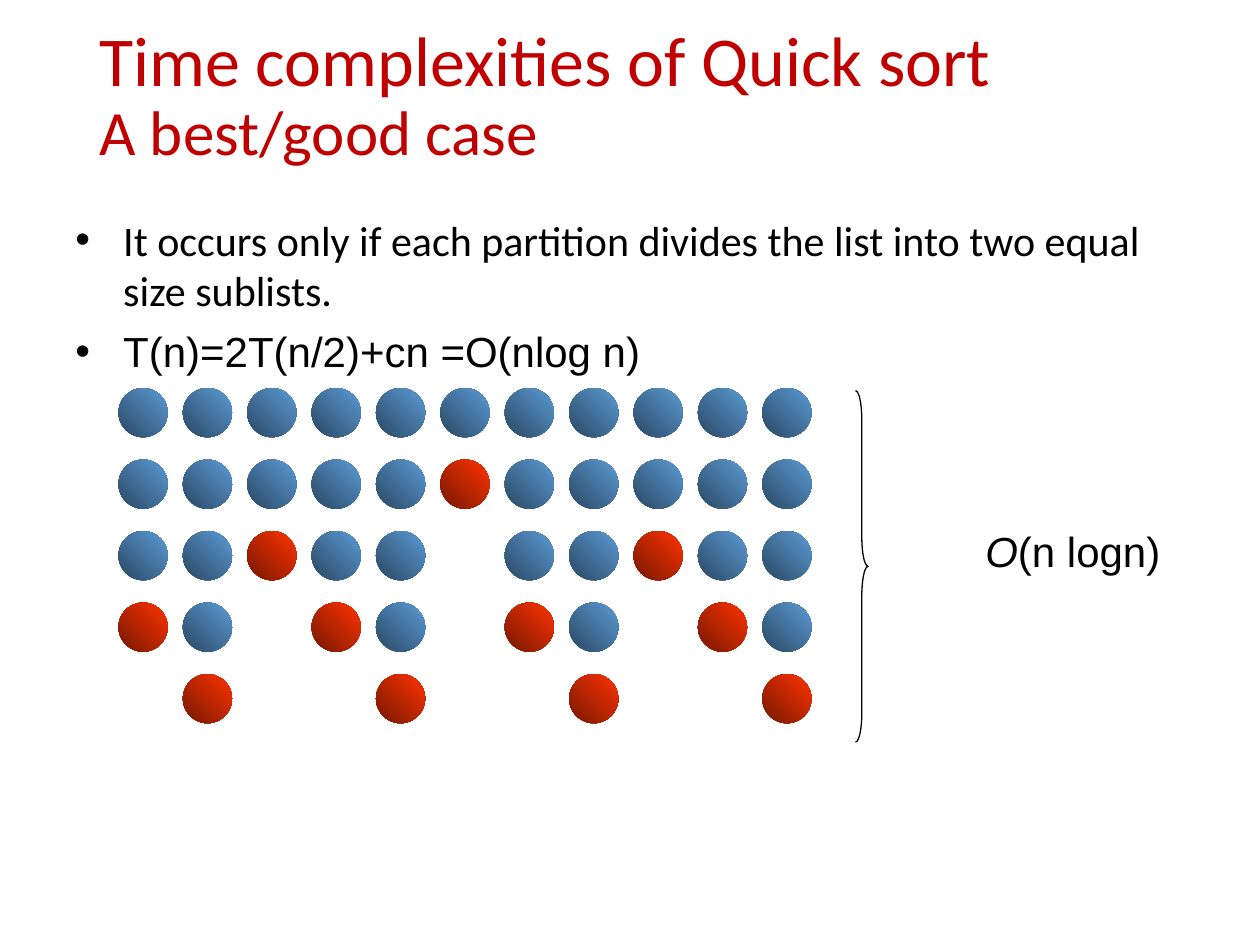
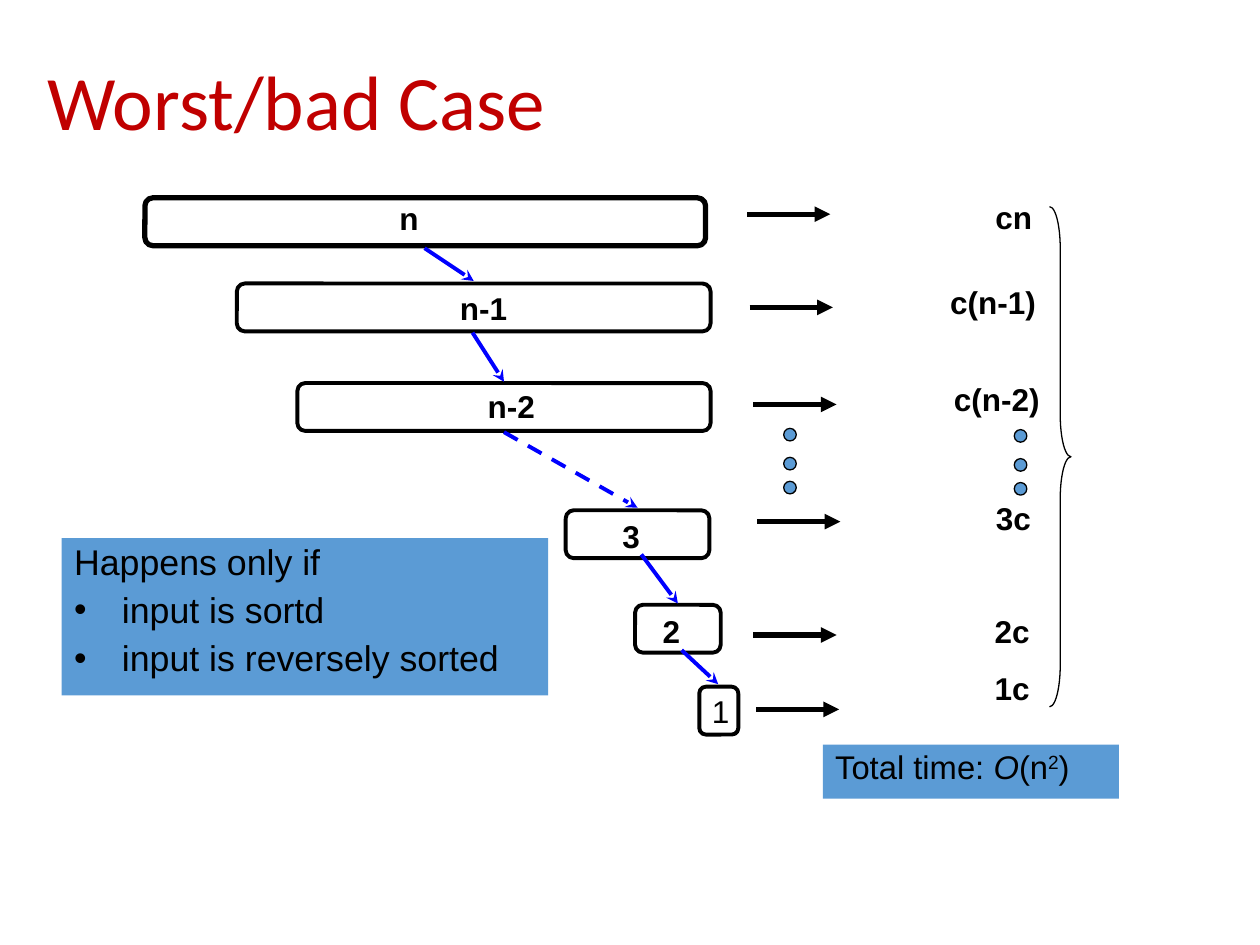
from lxml import etree
from pptx import Presentation
from pptx.dml.color import RGBColor
from pptx.enum.dml import MSO_LINE
from pptx.enum.shapes import MSO_CONNECTOR, MSO_SHAPE
from pptx.enum.text import MSO_ANCHOR, PP_ALIGN
from pptx.oxml.ns import qn
from pptx.util import Inches, Pt

OVAL, RECT = MSO_SHAPE.OVAL, MSO_SHAPE.RECTANGLE
ROUND, BRACE = MSO_SHAPE.ROUNDED_RECTANGLE, MSO_SHAPE.RIGHT_BRACE
TOP, MIDDLE, BOTTOM = MSO_ANCHOR.TOP, MSO_ANCHOR.MIDDLE, MSO_ANCHOR.BOTTOM
LEFT, CENTER, RIGHT = PP_ALIGN.LEFT, PP_ALIGN.CENTER, PP_ALIGN.RIGHT

# Shared style
BLACK, WHITE, BLUE, ARROW = "000000", "FFFFFF", "5B9BD5", "0000FF"
THIN, MEDIUM, THICK = 0.74, 2.24, 3
INSETS, NONE = (0.1, 0.05, 0.1, 0.05), (0, 0, 0, 0)
TITLE = dict(name="Calibri", size=44, color="C00000")
BODY = dict(name="Calibri", size=24, color=BLACK)
LABEL = dict(name="Arial", size=18, color=BLACK, bold=True)
PLAIN = dict(LABEL, bold=False)
NOTE = dict(spacing=0.9, before=5.5, hang=0.38)

# Slide 1 content: b = element, r = pivot, dot = gone
PARTITIONS = [
    "bbbbbbbbbbb",
    "bbbbbrbbbbb",
    "bbrbb.bbrbb",
    "rb.rb.rb.rb",
    ".r..r..r..r",
]
BALLS = {"b": ("2A4863", BLUE), "r": ("761800", "FF3300")}
BALL_LEFT, BALL_TOP, BALL_SIZE = 0.94, 3.08, 0.39
COL_STEP, ROW_STEP = 0.511, 0.5675

# Slide 2 content: bar left, top, width, line; label, its left, top, width
BARS = [
    (1.15, 1.57, 4.45, THICK, "n", 3.17, 1.58, 0.35),
    (1.88, 2.25, 3.76, MEDIUM, "n-1", 3.65, 2.29, 0.56),
    (2.36, 3.04, 3.28, MEDIUM, "n-2", 3.87, 3.07, 0.56),
    (4.49, 4.05, 1.14, MEDIUM, "3", 4.94, 4.1, 0.29),
    (5.04, 4.8, 0.68, MEDIUM, "2", 5.26, 4.86, 0.29),
]
LAST_BAR = (5.55, 5.45, 0.31)
BAR_HEIGHT = 0.38
# Calls: from, to, dashed
CALLS = [
    ((3.37, 1.97), (3.76, 2.23), False),
    ((3.75, 2.64), (4, 3.03), False),
    ((4, 3.43), (5.06, 4.03), True),
    ((5.09, 4.4), (5.38, 4.79), False),
    ((5.41, 5.16), (5.7, 5.43), False),
]
# Costs: arrow left, arrow y, text, text left, top, width
COSTS = [
    (5.93, 1.7, "cn", 6.81, 1.52, 1.48),
    (5.95, 2.44, "c(n-1)", 7.44, 2.2, 0.88),
    (5.98, 3.21, "c(n-2)", 7.47, 2.97, 0.88),
    (6.01, 4.14, "3c", 7.8, 3.91, 0.48),
    (5.98, 5.04, "2c", 7.79, 4.81, 0.48),
    (6, 5.63, "1c", 7.79, 5.26, 0.48),
]
COST_ARROW = 0.66
DOT_COLUMNS = [(6.22, 3.4), (8.05, 3.41)]
DOT_OFFSETS, DOT_SIZE = (0, 0.23, 0.42), 0.1


def rgb(value):
    return RGBColor.from_string(value)


def add_shape(parent, kind, at, fill=None, line=None, width=THIN):
    sp = parent.shapes.add_shape(kind, *map(Inches, at))
    sp.shadow.inherit = False
    if fill:
        sp.fill.solid()
        sp.fill.fore_color.rgb = rgb(fill)
    else:
        sp.fill.background()
    if line:
        sp.line.color.rgb = rgb(line)
        sp.line.width = Pt(width)
    else:
        sp.line.fill.background()
    return sp


def add_run(p, text, fmt):
    """Add a run; a newline in the text becomes a line break."""
    for i, part in enumerate(text.split("\n")):
        if i:
            p.add_line_break()
        if not part:
            continue
        r = p.add_run()
        r.text = part
        for key, value in fmt.items():
            if key == "color":
                r.font.color.rgb = rgb(value)
            elif key == "baseline":
                r._r.get_or_add_rPr().set("baseline", str(value * 1000))
            else:
                setattr(r.font, key, Pt(value) if key == "size" else value)


def write(sp, paras, fmt, anchor=TOP, insets=INSETS, align=LEFT, wrap=True,
          spacing=None, before=None, hang=0):
    """Each paragraph is (bulleted, [(text, extra format), ...])."""
    tf = sp.text_frame
    tf.word_wrap, tf.vertical_anchor = wrap, anchor
    for side, value in zip(("left", "top", "right", "bottom"), insets):
        setattr(tf, "margin_" + side, Inches(value))
    for i, (bulleted, runs) in enumerate(paras):
        p = tf.add_paragraph() if i else tf.paragraphs[0]
        p.alignment = align
        if spacing:
            p.line_spacing = spacing
        if before:
            p.space_before = Pt(before)
        pPr = p._p.get_or_add_pPr()
        if hang:
            pPr.set("marL", str(Inches(hang)))
            pPr.set("indent", str(-Inches(hang)))
        if bulleted:
            etree.SubElement(pPr, qn("a:buFont")).set("typeface", "Arial")
            etree.SubElement(pPr, qn("a:buChar")).set("char", "•")
        for text, extra in runs:
            add_run(p, text, {**fmt, **extra})


def add_text(s, at, paras, fmt, **layout):
    write(s.shapes.add_textbox(*map(Inches, at)), paras, fmt, **layout)


def line_of(text):
    return [(False, [(text, {})])]


def add_title(s, at, runs, anchor):
    add_text(s, at, [(False, runs)], TITLE, anchor=anchor, spacing=0.9)


def add_brace(s, at):
    sp = add_shape(s, BRACE, at, line=BLACK)
    sp.adjustments[0] = at[3] / 12 / at[2]
    sp.adjustments[1] = 0.5


def add_bar(s, left, top, width, weight):
    at = (left, top, width, BAR_HEIGHT)
    add_shape(s, ROUND, at, line=BLACK, width=weight)


def add_arrow(s, start, end, color, width, tip, dashed=False):
    c = s.shapes.add_connector(MSO_CONNECTOR.STRAIGHT,
                               *map(Inches, (*start, *end)))
    c.line.color.rgb = rgb(color)
    c.line.width = Pt(width)
    if dashed:
        c.line.dash_style = MSO_LINE.DASH
    etree.SubElement(c.line._get_or_add_ln(), qn("a:tailEnd")).set("type", tip)
    etree.SubElement(c._element.spPr, qn("a:effectLst"))


prs = Presentation()
prs.slide_width, prs.slide_height = Inches(10), Inches(7.5)
blank = prs.slide_layouts[6]

# Slide 1: best case
s = prs.slides.add_slide(blank)
add_title(s, (0.69, 0.4, 8.63, 0.75),
          [("Time complexities of Quick sort\n", {"size": 40}),
           ("A best/good case", {"size": 36})], MIDDLE)
add_text(s, (0.5, 1.65, 9, 4.95), [
    (True, [("It occurs only if each partition divides the list into "
             "two equal size sublists.", {})]),
    (True, [("T(n)=2T(n/2)+cn =O(nlog n)", {"name": "Arial"})]),
], BODY, before=6, hang=0.38)

# Partition levels
group = s.shapes.add_group_shape()
for row, level in enumerate(PARTITIONS):
    for col, mark in enumerate(level):
        if mark not in BALLS:
            continue
        ball = add_shape(group, OVAL, (BALL_LEFT + col * COL_STEP,
                                       BALL_TOP + row * ROW_STEP,
                                       BALL_SIZE, BALL_SIZE))
        ball.fill.gradient()
        ball.fill.gradient_angle = 45
        for stop, color in zip(ball.fill.gradient_stops, BALLS[mark]):
            stop.color.rgb = rgb(color)

add_brace(s, (6.79, 3.1, 0.1, 2.79))
total = add_shape(s, RECT, (7.58, 4.06, 1.87, 0.63), WHITE, WHITE)
write(total, [(False, [("O", {"italic": True}), ("(n logn)", {})])],
      dict(PLAIN, size=24), anchor=MIDDLE, align=CENTER, wrap=False)

# Slide 2: worst case
s = prs.slides.add_slide(blank)
add_title(s, (0.28, 0.3, 8.28, 0.92), [("Worst/bad Case", {})], BOTTOM)

# Shrinking lists and the calls between them
for left, top, width, weight, label, x, y, w in BARS:
    add_bar(s, left, top, width, weight)
    add_text(s, (x, y, w, 0.3), line_of(label), LABEL, insets=NONE)
add_bar(s, *LAST_BAR, MEDIUM)
one = add_shape(s, RECT, (5.6, 5.51, 0.24, 0.26), WHITE, WHITE)
write(one, line_of("1"), PLAIN, anchor=MIDDLE, insets=NONE, align=CENTER,
      wrap=False)
for start, end, dashed in CALLS:
    add_arrow(s, start, end, ARROW, MEDIUM, "stealth", dashed)

# Cost of each level
for left, y, cost, x, top, width in COSTS:
    add_arrow(s, (left, y), (left + COST_ARROW, y), BLACK, THICK, "triangle")
    add_text(s, (x, top, width, 0.4), line_of(cost), LABEL, align=RIGHT,
             insets=(0, 0.05, 0.1, 0.05))
for left, top in DOT_COLUMNS:
    for offset in DOT_OFFSETS:
        add_shape(s, OVAL, (left, top + offset, DOT_SIZE, DOT_SIZE),
                  BLUE, BLACK)
add_brace(s, (8.33, 1.64, 0.17, 3.97))

# Notes
condition = add_shape(s, RECT, (0.49, 4.27, 3.86, 1.25), BLUE)
write(condition, [
    (False, [("Happens only if", {})]),
    (True, [("input is sortd", {})]),
    (True, [("input is reversely sorted", {})]),
], dict(PLAIN, size=20.4), **NOTE)
total = add_shape(s, RECT, (6.53, 5.91, 2.35, 0.43), BLUE)
write(total, [(False, [("Total time: ", {}), ("O", {"italic": True}),
                       ("(n", {}), ("2", {"baseline": 30}), (")", {})])],
      dict(PLAIN, size=18.7), **NOTE)

prs.save("out.pptx")
